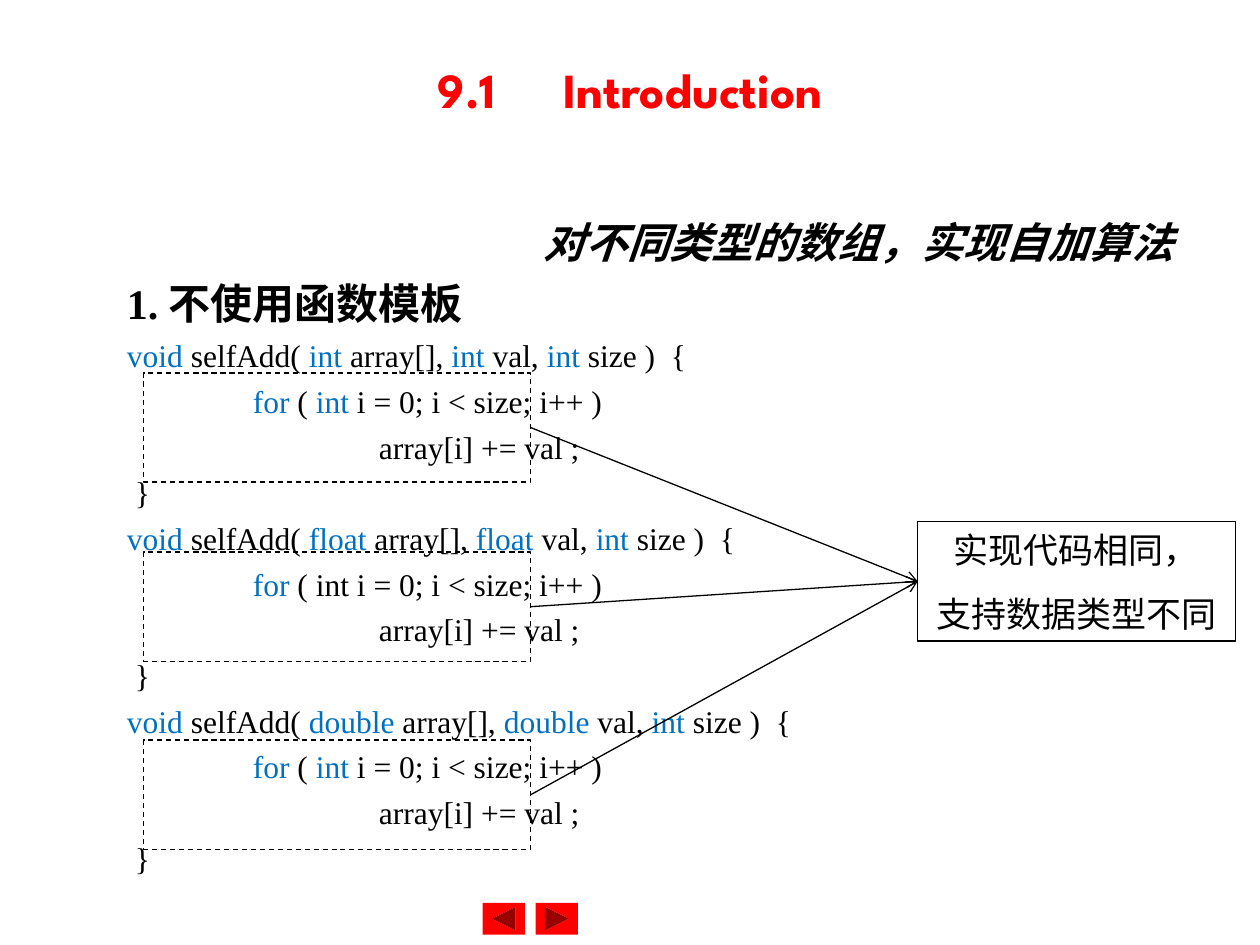
import pptx
import pptx.util
import pptx.dml.color
import pptx.enum.dml
import pptx.enum.shapes
import pptx.enum.text
import pptx.oxml.ns
import lxml.etree

Cm = pptx.util.Cm
Pt = pptx.util.Pt
qn = pptx.oxml.ns.qn
SHAPES = pptx.enum.shapes.MSO_SHAPE
ALIGN = pptx.enum.text.PP_ALIGN
ANCHOR = pptx.enum.text.MSO_ANCHOR

COLORS = {"red": "FF0000", "blue": "0070C0", "black": "000000"}
SERIF = "Times New Roman"

TITLE = "9.1\tIntroduction"
SUBTITLE = "对不同类型的数组，实现自加算法"
HEADING = "1. 不使用函数模板"
CALLOUT = ["实现代码相同，", "支持数据类型不同"]

KEYWORD_MARK = "|"
FUNCTIONS = [
    ("|void| selfAdd( |int |array[], |int| val, |int| size )  {",
     "\t|for| ( |int| i = 0; i < size; i++ )"),
    ("|void| selfAdd( |float| array[], |float| val, |int| size )  {",
     "\t|for| ( int i = 0; i < size; i++ )"),
    ("|void| selfAdd( |double| array[], |double| val, |int| size )  {",
     "\t|for| ( |int| i = 0; i < size; i++ )"),
]
FUNCTION_END = ("\t\tarray[i] += val ;", " }")

BODY_TOPS = [7.52, 11.13, 14.92]
BUTTONS = [(10.8, 0), (9.73, 180)]
TAB_STEP = 2.54
TAB_COUNT = 8


def rgb(name):
    return pptx.dml.color.RGBColor.from_string(COLORS[name])


def style(font, size, color="black", name=SERIF, bold=False, italic=False):
    font.size = Pt(size)
    font.name = name
    font.bold = bold
    font.italic = italic
    font.color.rgb = rgb(color)


def add_tabs(para):
    stops = lxml.etree.SubElement(para._p.get_or_add_pPr(), qn("a:tabLst"))
    for index in range(TAB_COUNT):
        lxml.etree.SubElement(stops, qn("a:tab"), pos=str(Cm(TAB_STEP * index)), algn="l")


def add_text(page, left, top, width, height):
    frame = page.shapes.add_textbox(Cm(left), Cm(top), Cm(width), Cm(height)).text_frame
    frame.word_wrap = True
    return frame


def add_code_line(frame, line):
    para = frame.add_paragraph()
    para.space_before = Pt(4.5)
    add_tabs(para)
    for index, part in enumerate(line.split(KEYWORD_MARK)):
        if part:
            span = para.add_run()
            span.text = part
            style(span.font, 18, "blue" if index % 2 else "black")


def add_box(page, kind, left, top, width, height):
    box = page.shapes.add_shape(kind, Cm(left), Cm(top), Cm(width), Cm(height))
    box.shadow.inherit = False
    box.fill.background()
    box.line.color.rgb = rgb("black")
    box.line.width = Pt(0.75)
    return box


def add_arrow(page, source, target):
    arrow = page.shapes.add_connector(pptx.enum.shapes.MSO_CONNECTOR.STRAIGHT, 0, 0, 0, 0)
    arrow.begin_connect(source, 3)
    arrow.end_connect(target, 1)
    arrow.line.color.rgb = rgb("black")
    arrow.line.width = Pt(0.75)
    lxml.etree.SubElement(arrow.line._get_or_add_ln(), qn("a:tailEnd"), type="arrow")
    lxml.etree.SubElement(arrow._element.spPr, qn("a:effectLst"))


def main():
    deck = pptx.Presentation()
    deck.slide_width, deck.slide_height = Cm(25.4), Cm(19.05)
    page = deck.slides.add_slide(deck.slide_layouts[6])

    for left, rotation in BUTTONS:
        button = add_box(page, SHAPES.ACTION_BUTTON_FORWARD_OR_NEXT, left, 18.2, 0.85, 0.64)
        button.rotation = rotation
        button.fill.solid()
        button.fill.fore_color.rgb = rgb("red")
        button.line.fill.background()

    frame = add_text(page, 2.31, 4.25, 21.6, 13.76)
    para = frame.paragraphs[0]
    para.text = SUBTITLE
    para.alignment = ALIGN.RIGHT
    style(para.runs[0].font, 24, bold=True, italic=True)
    para = frame.add_paragraph()
    para.text = HEADING
    para.space_before = Pt(6)
    style(para.runs[0].font, 24, bold=True)
    for function in FUNCTIONS:
        for line in function + FUNCTION_END:
            add_code_line(frame, line)

    frame = add_text(page, 1.9, 0.2, 21.6, 3.18)
    frame.vertical_anchor = ANCHOR.MIDDLE
    para = frame.paragraphs[0]
    para.text = TITLE
    para.alignment = ALIGN.CENTER
    add_tabs(para)
    style(para.runs[0].font, 28, "red", "League Spartan", bold=True)

    callout = add_box(page, SHAPES.FLOWCHART_PROCESS, 18.5, 10.52, 6.4, 2.4)
    frame = callout.text_frame
    frame.text = "\n".join(CALLOUT)
    frame.word_wrap = True
    frame.vertical_anchor = ANCHOR.MIDDLE
    for para in frame.paragraphs:
        para.alignment = ALIGN.CENTER
        style(para.runs[0].font, 20)
    frame.paragraphs[1].space_before = Pt(12.5)

    for top in BODY_TOPS:
        body = add_box(page, SHAPES.RECTANGLE, 2.9, top, 7.8, 2.2)
        body.line.dash_style = pptx.enum.dml.MSO_LINE.DASH
        add_arrow(page, body, callout)

    deck.save("out.pptx")


if __name__ == "__main__":
    main()
